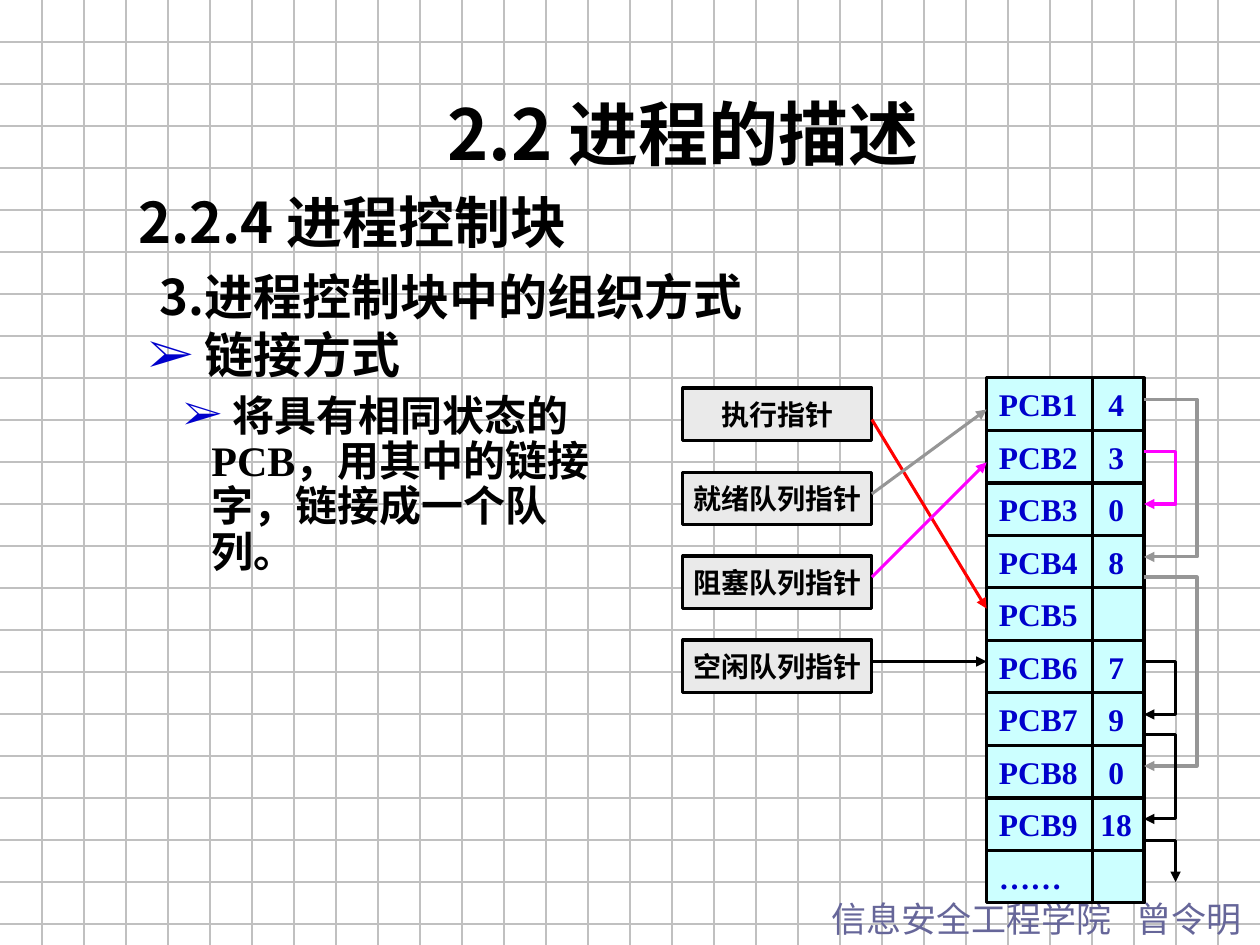
from dataclasses import dataclass

from lxml import etree
from pptx import Presentation
from pptx.dml.color import RGBColor
from pptx.enum.shapes import MSO_CONNECTOR, MSO_SHAPE
from pptx.enum.text import MSO_ANCHOR, MSO_AUTO_SIZE, PP_ALIGN
from pptx.oxml.ns import qn
from pptx.util import Inches, Pt

STRAIGHT = MSO_CONNECTOR.STRAIGHT
RECTANGLE = MSO_SHAPE.RECTANGLE
TOP, MIDDLE = MSO_ANCHOR.TOP, MSO_ANCHOR.MIDDLE
NO_AUTOFIT = MSO_AUTO_SIZE.NONE
LEFT, CENTER = PP_ALIGN.LEFT, PP_ALIGN.CENTER


@dataclass(frozen=True)
class Theme:
    black: str = "000000"
    blue: str = "0000CC"
    red: str = "FF0000"
    gray: str = "969696"
    magenta: str = "FF00FF"
    grid: str = "C0C0C0"
    footer: str = "666699"
    pointer_fill: str = "EAEAEA"
    block_fill: str = "CCFFFF"
    sans_jp: str = "Noto Sans CJK JP"
    sans_sc: str = "Noto Sans CJK SC"
    serif: str = "Times New Roman"
    title: int = 40
    heading: int = 32
    subheading: int = 28
    body: int = 24
    footer_size: int = 20
    block: int = 18
    pointer: int = 16
    stroke: float = 1.75


THEME = Theme()
WIDTH, HEIGHT = 10, 7.5
GRID_STEP = 1 / 3

# Diagram measures, in inches
BOX_HEIGHT = 5 / 12
POINTER_LEFT, POINTER_TOP, POINTER_WIDTH, POINTER_STEP = 5.42, 3.08, 1.5, 2 / 3
POINTER_RIGHT = POINTER_LEFT + POINTER_WIDTH
BLOCK_LEFT, BLOCK_TOP, BLOCK_WIDTH = 7.83, 3, 1.25
BLOCK_RIGHT = BLOCK_LEFT + BLOCK_WIDTH
LINK_COLUMN = 8.67
NEAR_LANE, FAR_LANE = 9.33, 9.5

POINTERS = ["执行指针", "就绪队列指针", "阻塞队列指针", "空闲队列指针"]
BLOCK_LINKS = ["4", "3", "0", "8", "", "7", "9", "0", "18"]
# Start height, end height, colour
POINTER_ARROWS = [
    (3.33, 4.83, THEME.red),
    (3.92, 3.25, THEME.gray),
    (4.58, 3.67, THEME.magenta),
    (5.25, 5.25, THEME.black),
]
# Lane, start height, end height, colour
LINK_ARROWS = [
    (FAR_LANE, 3.17, 4.42, THEME.gray),
    (NEAR_LANE, 3.58, 4, THEME.magenta),
    (FAR_LANE, 4.58, 6.08, THEME.gray),
    (NEAR_LANE, 5.25, 5.67, THEME.black),
    (NEAR_LANE, 5.83, 6.5, THEME.black),
]


def add_run(paragraph, text, size, font, color=THEME.black, bold=True, east_asian=THEME.sans_sc):
    run = paragraph.add_run()
    run.text = text
    run.font.size = Pt(size)
    run.font.bold = bold
    run.font.color.rgb = RGBColor.from_string(color)
    run.font.name = font
    etree.SubElement(run.font._element, qn("a:ea"), typeface=east_asian)


def set_indent(paragraph, margin, first_line=0):
    properties = paragraph._p.get_or_add_pPr()
    properties.set("marL", str(Inches(margin)))
    properties.set("indent", str(Inches(first_line)))


def add_bullet(paragraph, color):
    properties = paragraph._p.get_or_add_pPr()
    properties.set("hangingPunct", "0")
    bullet_color = etree.SubElement(properties, qn("a:buClr"))
    etree.SubElement(bullet_color, qn("a:srgbClr"), val=color)
    etree.SubElement(properties, qn("a:buFont"), typeface=THEME.serif)
    etree.SubElement(properties, qn("a:buChar"), char="➢")


def add_tab_stop(paragraph, position, alignment):
    tabs = etree.SubElement(paragraph._p.get_or_add_pPr(), qn("a:tabLst"))
    etree.SubElement(tabs, qn("a:tab"), pos=str(Inches(position)), algn=alignment)


def add_text_box(slide, left, top, width, height):
    shape = slide.shapes.add_textbox(Inches(left), Inches(top), Inches(width), Inches(height))
    shape.text_frame.word_wrap = True
    return shape.text_frame


def add_box(slide, left, top, width, fill, alignment, side_margins):
    shape = slide.shapes.add_shape(
        RECTANGLE, Inches(left), Inches(top), Inches(width), Inches(BOX_HEIGHT))
    shape.shadow.inherit = False
    shape.fill.solid()
    shape.fill.fore_color.rgb = RGBColor.from_string(fill)
    set_line(shape, THEME.black)
    frame = shape.text_frame
    frame.vertical_anchor = MIDDLE
    frame.margin_left, frame.margin_right = map(Inches, side_margins)
    paragraph = frame.paragraphs[0]
    paragraph.alignment = alignment
    return paragraph


def set_line(shape, color, width=THEME.stroke, arrow=False):
    shape.line.color.rgb = RGBColor.from_string(color)
    shape.line.width = Pt(width)
    if arrow:
        etree.SubElement(shape.line._get_or_add_ln(), qn("a:tailEnd"), type="triangle")


def add_line(slide, start, end, color, width=THEME.stroke, arrow=False):
    connector = slide.shapes.add_connector(STRAIGHT, *map(Inches, start + end))
    set_line(connector, color, width, arrow)
    etree.SubElement(connector._element.spPr, qn("a:effectLst"))


def add_elbow(slide, points, color):
    start, *others = [(Inches(x), Inches(y)) for x, y in points]
    builder = slide.shapes.build_freeform(*start)
    builder.add_line_segments(others, close=False)
    shape = builder.convert_to_shape()
    shape.shadow.inherit = False
    shape.fill.background()
    set_line(shape, color, arrow=True)


def draw_background(slide):
    for index in range(1, int(HEIGHT / GRID_STEP) + 1):
        y = index * GRID_STEP
        add_line(slide, (0, y), (WIDTH, y), THEME.grid, 0.75)
    for index in range(1, round(WIDTH / GRID_STEP)):
        x = index * GRID_STEP
        add_line(slide, (x, 0), (x, HEIGHT), THEME.grid, 0.75)
    footer = add_text_box(slide, 6.5, 7.07, 3.5, 0.44).paragraphs[0]
    add_tab_stop(footer, 2.42, "l")
    add_run(footer, "信息安全工程学院\t曾令明", THEME.footer_size, THEME.sans_jp,
            THEME.footer, bold=False, east_asian=THEME.sans_jp)


def write_text(slide):
    # Section headings
    frame = add_text_box(slide, 1, 1.33, 8.58, 1.3)
    heading, subheading = frame.paragraphs[0], frame.add_paragraph()
    heading.line_spacing = subheading.line_spacing = 1.2
    add_run(heading, "2.2.4 ", THEME.heading, THEME.sans_sc)
    add_run(heading, "进程控制块", THEME.heading, THEME.serif)
    set_indent(subheading, 0.17)
    add_run(subheading, "3.进程控制块中的", THEME.subheading, THEME.sans_sc)
    add_run(subheading, "组织方式", THEME.subheading, THEME.serif)

    # Bulleted explanation
    frame = add_text_box(slide, 1.08, 2.58, 3.92, 1.75)
    method, detail = frame.paragraphs[0], frame.add_paragraph()
    detail.level = 1
    set_indent(detail, 0.5, -0.22)
    detail.space_before = Pt(6)
    for paragraph, text, size in [
        (method, " 链接方式", THEME.subheading),
        (detail, " 将具有相同状态的PCB，用其中的链接字，链接成一个队列。", THEME.body),
    ]:
        paragraph.line_spacing = 0.9
        add_bullet(paragraph, THEME.blue)
        add_run(paragraph, text, size, THEME.serif)


def draw_diagram(slide):
    # Queue pointers
    for index, label in enumerate(POINTERS):
        paragraph = add_box(slide, POINTER_LEFT, POINTER_TOP + index * POINTER_STEP,
                            POINTER_WIDTH, THEME.pointer_fill, CENTER, (0.02, 0.02))
        add_run(paragraph, label, THEME.pointer, THEME.serif)

    # Control blocks with their link words
    labels = [f"PCB{number}\t{link}".rstrip() for number, link in enumerate(BLOCK_LINKS, 1)]
    labels.append("……")
    for index, label in enumerate(labels):
        paragraph = add_box(slide, BLOCK_LEFT, BLOCK_TOP + index * BOX_HEIGHT,
                            BLOCK_WIDTH, THEME.block_fill, LEFT, (0.1, 0))
        add_tab_stop(paragraph, 0.93, "ctr")
        add_run(paragraph, label, THEME.block, THEME.serif, THEME.blue, east_asian=THEME.serif)
    bottom = BLOCK_TOP + len(labels) * BOX_HEIGHT
    add_line(slide, (LINK_COLUMN, BLOCK_TOP), (LINK_COLUMN, bottom), THEME.black)

    # Arrows from pointers to blocks, then between blocks
    for start, end, color in POINTER_ARROWS:
        add_line(slide, (POINTER_RIGHT, start), (BLOCK_LEFT, end), color, arrow=True)
    for lane, start, end, color in LINK_ARROWS:
        add_elbow(slide, [(BLOCK_RIGHT, start), (lane, start), (lane, end), (BLOCK_RIGHT, end)], color)
    add_elbow(slide, [(BLOCK_RIGHT, 6.67), (NEAR_LANE, 6.67), (NEAR_LANE, 7)], THEME.black)


def write_title(slide):
    title = slide.shapes.title
    title.left, title.top, title.width, title.height = map(Inches, (1.42, 0.67, 8, 0.77))
    frame = title.text_frame
    frame.auto_size = NO_AUTOFIT
    frame.vertical_anchor = TOP
    paragraph = frame.paragraphs[0]
    paragraph.alignment = CENTER
    add_run(paragraph, "2.2 进程的描述", THEME.title, THEME.sans_jp, east_asian=THEME.sans_jp)
    # Keep the title in front of the grid
    slide.shapes._spTree.append(title._element)


def main():
    presentation = Presentation()
    presentation.slide_width, presentation.slide_height = Inches(WIDTH), Inches(HEIGHT)
    slide = presentation.slides.add_slide(presentation.slide_layouts[5])
    draw_background(slide)
    write_text(slide)
    draw_diagram(slide)
    write_title(slide)
    presentation.save("out.pptx")


if __name__ == "__main__":
    main()
